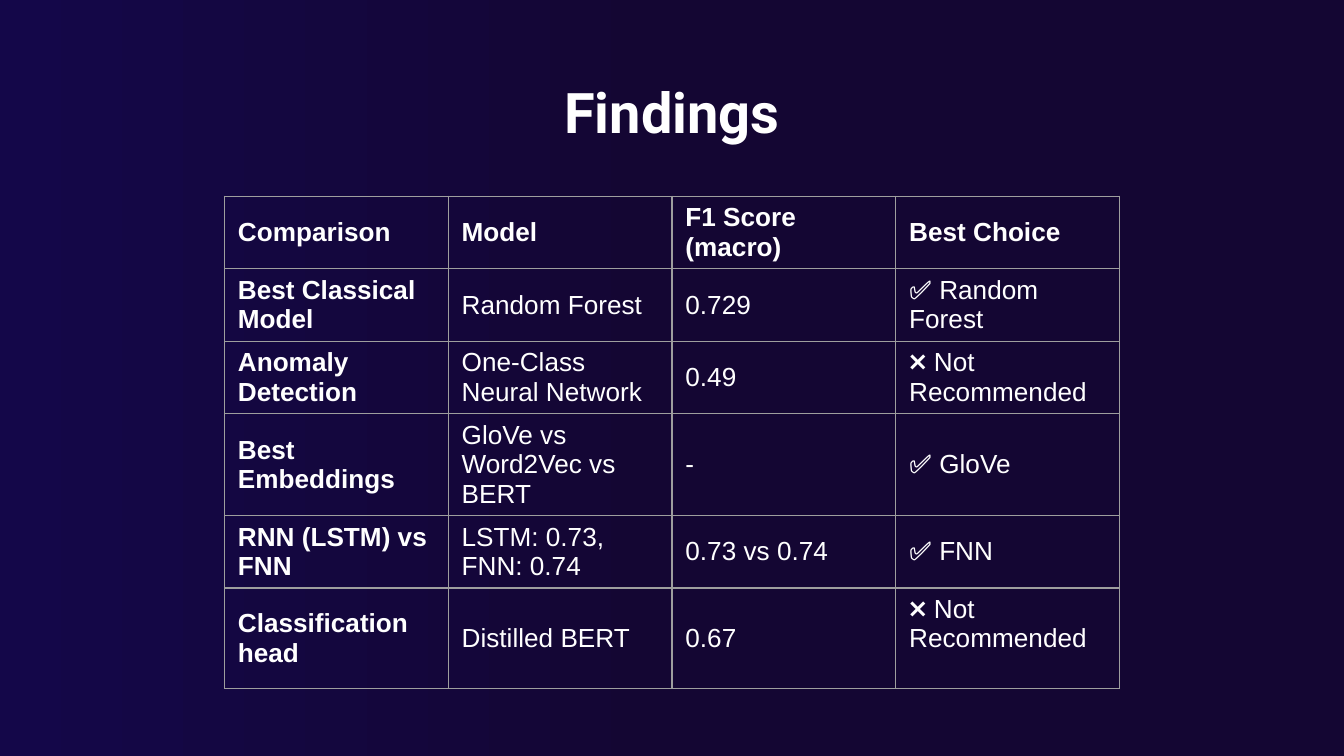
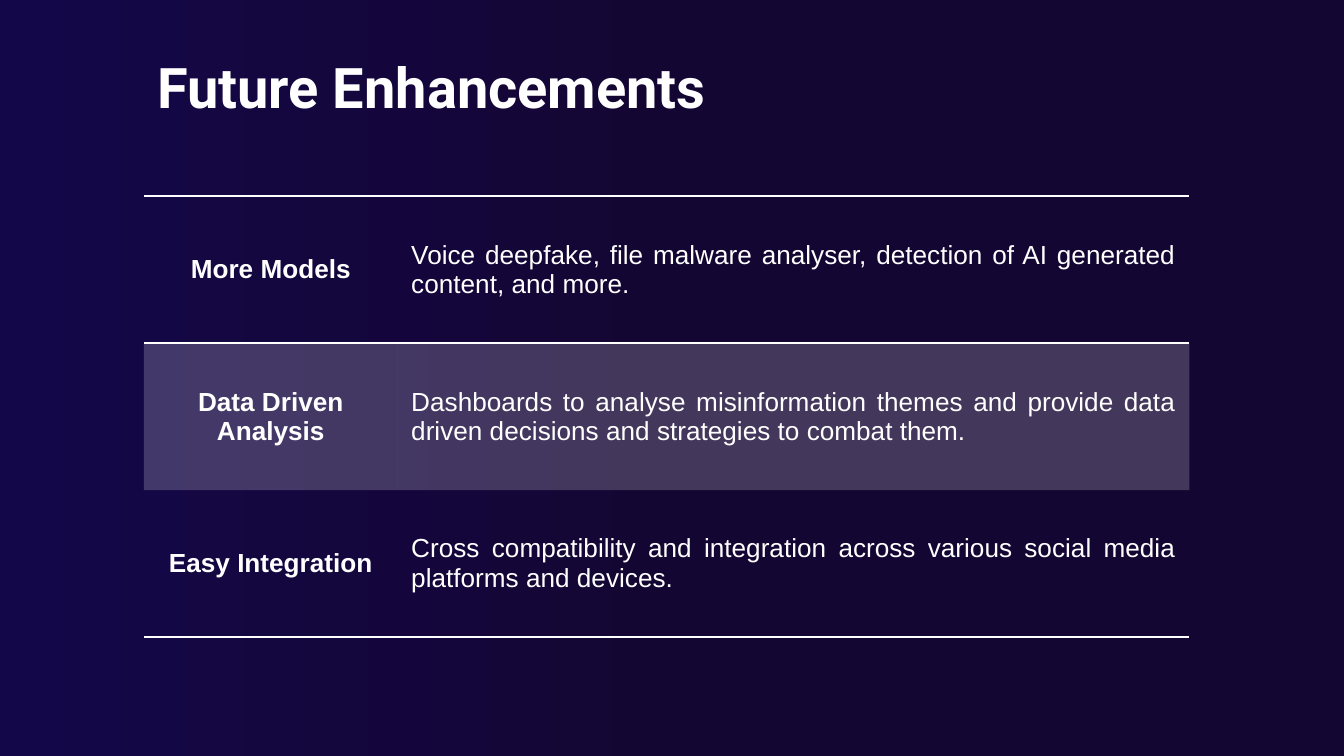
from copy import deepcopy
from dataclasses import dataclass

from lxml.etree import SubElement
from pptx import Presentation
from pptx.dml.color import RGBColor
from pptx.enum.text import MSO_ANCHOR, MSO_AUTO_SIZE, PP_ALIGN
from pptx.oxml import parse_xml
from pptx.oxml.ns import nsdecls, qn
from pptx.util import Inches, Pt


@dataclass(frozen=True)
class Theme:
    night: str = "140633"
    indigo: str = "140749"
    white: str = "FFFFFF"
    grid: str = "9E9E9E"
    title_font: str = "Roboto"
    body_font: str = "Arial"
    title_size: int = 30
    body_size: int = 14
    band_alpha: int = 20
    plain_table: str = "{2D5ABB26-0587-4C30-8999-92F81FD0307C}"


THEME = Theme()

FINDINGS = [
    ["Comparison", "Model", "F1 Score (macro)", "Best Choice"],
    ["Best Classical Model", "Random Forest", "0.729", "✅ Random Forest"],
    ["Anomaly Detection", "One-Class Neural Network", "0.49", "❌ Not Recommended"],
    ["Best Embeddings", "GloVe vs Word2Vec vs BERT", "-", "✅ GloVe"],
    ["RNN (LSTM) vs FNN", "LSTM: 0.73, FNN: 0.74", "0.73 vs 0.74", "✅ FNN"],
    ["Classification head", "Distilled BERT", "0.67", "❌ Not Recommended"],
]

ENHANCEMENTS = [
    ["More Models",
     "Voice deepfake, file malware analyser, detection of AI generated content, and more."],
    ["Data Driven Analysis",
     "Dashboards to analyse misinformation themes and provide data driven decisions "
     "and strategies to combat them."],
    ["Easy Integration",
     "Cross compatibility and integration across various social media platforms and devices."],
]


# Shared parts
def style_text(p, font, size, bold, align=PP_ALIGN.LEFT):
    p.alignment = align
    for r in p.runs:
        r.font.name = font
        r.font.size = Pt(size)
        r.font.bold = bold
        r.font.color.rgb = RGBColor.from_string(THEME.white)


def add_background(s):
    fill = s.background.fill
    fill.gradient()
    fill.gradient_angle = 180
    first, last = fill.gradient_stops
    first.color.rgb = RGBColor.from_string(THEME.night)
    last.color.rgb = RGBColor.from_string(THEME.indigo)
    middle = deepcopy(first._gs)
    middle.set("pos", "50000")
    first._gs.addnext(middle)


def add_title_slide(prs, title, box, align, anchor):
    s = prs.slides.add_slide(prs.slide_layouts[5])
    add_background(s)
    sp = s.shapes.title
    sp.left, sp.top, sp.width, sp.height = (Inches(v) for v in box)
    tf = sp.text_frame
    tf.text = title
    tf.word_wrap = True
    tf.auto_size = MSO_AUTO_SIZE.NONE
    tf.vertical_anchor = anchor
    tf.margin_left = tf.margin_right = tf.margin_top = tf.margin_bottom = Inches(0.1)
    style_text(tf.paragraphs[0], THEME.title_font, THEME.title_size, True, align)
    return s


def add_plain_table(s, rows, box, widths, heights):
    frame = s.shapes.add_table(len(rows), len(widths), *(Inches(v) for v in box))
    table = frame.table
    table.first_row = table.horz_banding = False
    table._tbl.tblPr.find(qn("a:tableStyleId")).text = THEME.plain_table
    for column, width in zip(table.columns, widths):
        column.width = Inches(width)
    for row, height, texts in zip(table.rows, heights, rows):
        row.height = Inches(height)
        for cell, text in zip(row.cells, texts):
            cell.text_frame.text = text
            cell.vertical_anchor = MSO_ANCHOR.MIDDLE
            cell.fill.background()
    return table


def set_borders(cell, sides, color, width):
    tcPr = cell._tc.get_or_add_tcPr()
    for i, side in enumerate(sides):
        tcPr.insert(i, parse_xml(
            f'<a:ln{side} {nsdecls("a")} w="{Pt(width)}"><a:solidFill>'
            f'<a:srgbClr val="{color}"/></a:solidFill></a:ln{side}>'))


def fill_band(cell):
    cell.fill.solid()
    cell.fill.fore_color.rgb = RGBColor.from_string(THEME.white)
    color = cell._tc.tcPr.find(".//" + qn("a:srgbClr"))
    SubElement(color, qn("a:alpha")).set("val", str(THEME.band_alpha * 1000))


# Tables
def add_findings_table(s, box):
    columns = len(FINDINGS[0])
    line = 0.54
    heights = [line, line, line, 0.75, line, 0.75]
    table = add_plain_table(s, FINDINGS, box, [box[2] / columns] * columns, heights)
    for i, row in enumerate(table.rows):
        for j, cell in enumerate(row.cells):
            style_text(cell.text_frame.paragraphs[0], THEME.body_font, THEME.body_size,
                       i == 0 or j == 0)
            set_borders(cell, "LRTB", THEME.grid, 0.75)
    # The last verdict sits at the top of its taller row
    table.cell(len(FINDINGS) - 1, columns - 1).vertical_anchor = MSO_ANCHOR.TOP


def add_enhancements_table(s, box):
    label_width = 1.89
    count = len(ENHANCEMENTS)
    table = add_plain_table(s, ENHANCEMENTS, box, [label_width, box[2] - label_width],
                            [box[3] / count] * count)
    for row, sides in zip(table.rows, ("TB", "", "B")):
        for cell, align in zip(row.cells, (PP_ALIGN.CENTER, PP_ALIGN.JUSTIFY)):
            style_text(cell.text_frame.paragraphs[0], THEME.body_font, THEME.body_size,
                       align == PP_ALIGN.CENTER, align)
            if not sides:
                fill_band(cell)
            set_borders(cell, sides, THEME.white, 1)


# Slides
def build_findings(prs):
    s = add_title_slide(prs, "Findings", (0.79, 0.48, 8.42, 0.63),
                        PP_ALIGN.CENTER, MSO_ANCHOR.TOP)
    add_findings_table(s, (1.67, 1.46, 6.66, 3.66))


def build_enhancements(prs):
    s = add_title_slide(prs, "Future Enhancements", (1.07, -0.18, 5.19, 1.17),
                        PP_ALIGN.LEFT, MSO_ANCHOR.BOTTOM)
    add_enhancements_table(s, (1.07, 1.46, 7.78, 3.28))


def main():
    prs = Presentation()
    prs.slide_width = Inches(10)
    prs.slide_height = prs.slide_width * 9 // 16
    build_findings(prs)
    build_enhancements(prs)
    prs.save("out.pptx")


if __name__ == "__main__":
    main()
